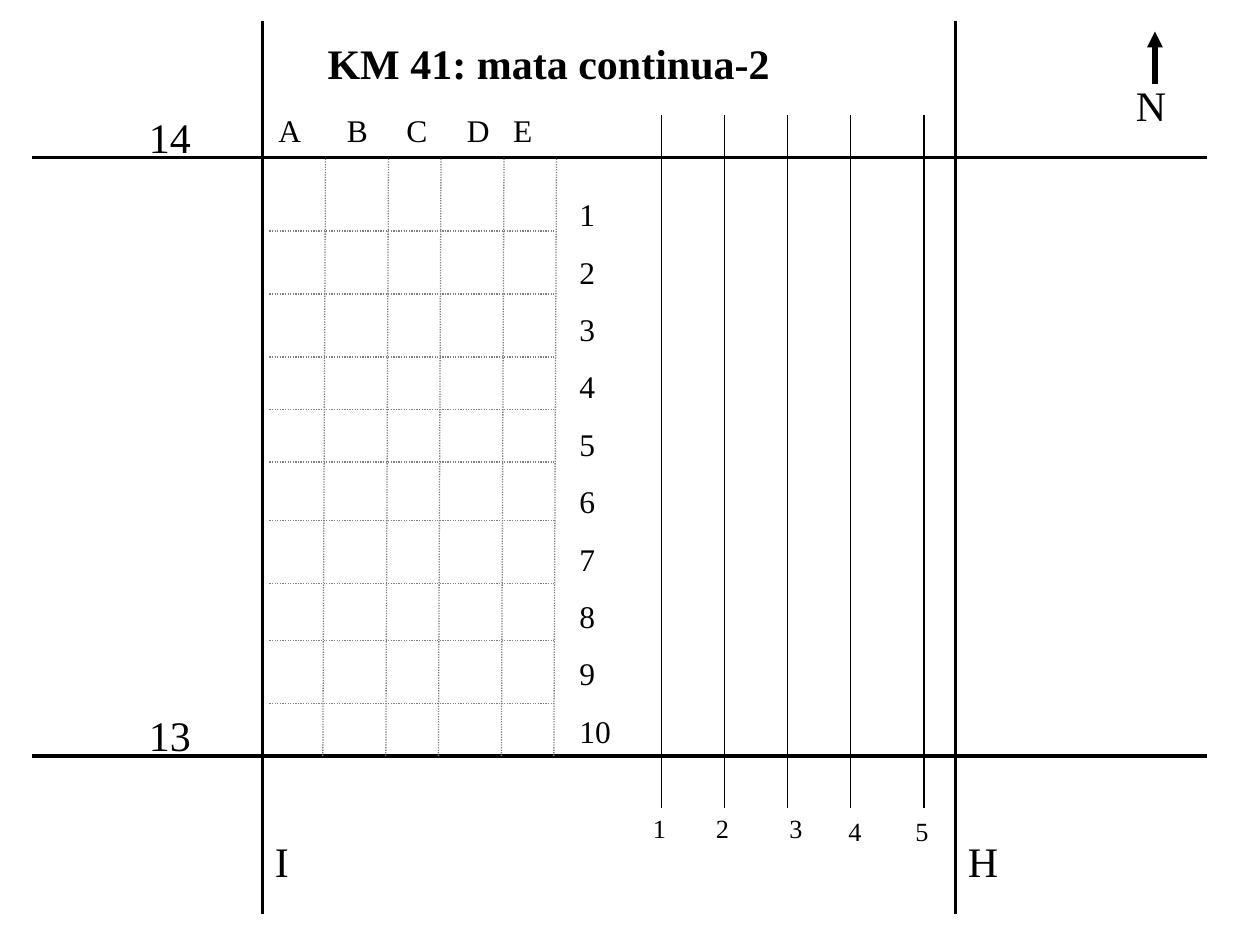
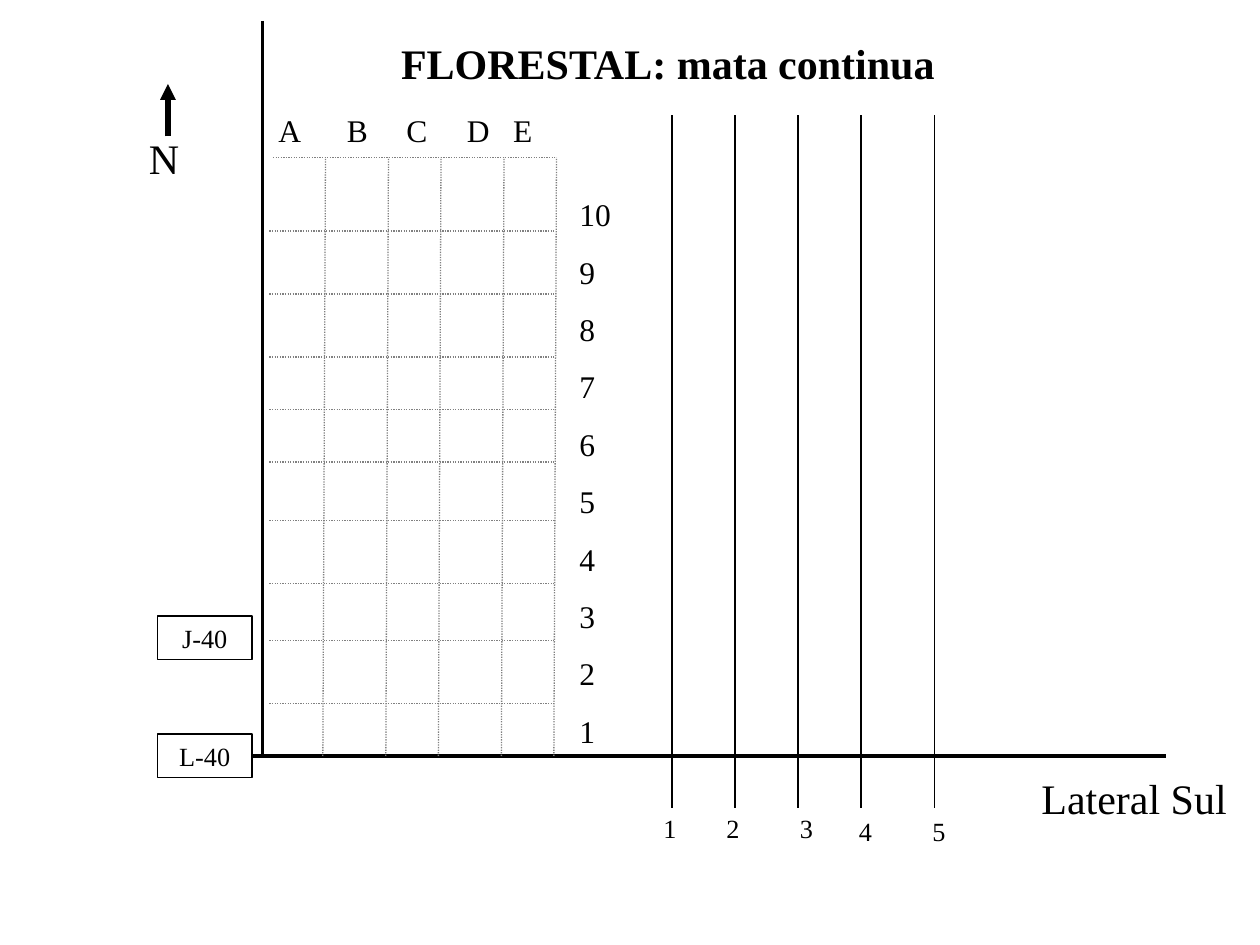
"""Builds two field maps of continuous-forest plots."""
from lxml import etree
from pptx import Presentation
from pptx.dml.color import RGBColor
from pptx.enum.dml import MSO_LINE
from pptx.enum.shapes import MSO_CONNECTOR, MSO_SHAPE
from pptx.enum.text import MSO_ANCHOR, PP_ALIGN
from pptx.oxml.ns import qn
from pptx.util import Pt

BLACK = RGBColor(0, 0, 0)
GRAY = RGBColor(0x80, 0x80, 0x80)
FONT = "Times New Roman"
STRAIGHT = MSO_CONNECTOR.STRAIGHT
RECTANGLE = MSO_SHAPE.RECTANGLE
DOTTED = MSO_LINE.ROUND_DOT
TOP, MIDDLE = MSO_ANCHOR.TOP, MSO_ANCHOR.MIDDLE
LEFT, CENTER = PP_ALIGN.LEFT, PP_ALIGN.CENTER
TITLE_ONLY = 5
RIGHT_SIDE = 3

LARGE, MEDIUM, SMALL = 24, 18, 15
ROAD_WIDTH, ARROW_WIDTH, THIN = 2.25, 3, 0.75

PLOT_BOX = (150, 90, 168, 342)
COLUMN_OFFSETS = (36, 72, 102, 138, 168)
ROW_OFFSETS = (42, 78, 114, 144, 174, 207.5, 243.5, 276, 312)
LETTER_TABS = (39.2, 73.2, 107.7, 134.2)
GRID_LEAN = 1.5
ROW_GAP = 11.2

TRANSECT_TOP, TRANSECT_LENGTH = 66, 396
TRANSECT_OFFSETS = (0, 36, 72, 108, 150)
LABEL_OFFSETS = (-12, 24, 66, 99.75)
LABEL_SHIFTS = (-1.5, -1.5, -1.5, 0.5, 0.5)


def format_text(frame, size, bold=False, align=LEFT, anchor=TOP):
    """Apply the shared font, insets and alignment to a text frame."""
    frame.word_wrap = True
    frame.vertical_anchor = anchor
    frame.margin_left = frame.margin_right = Pt(7.2)
    frame.margin_top = frame.margin_bottom = Pt(3.6)
    for paragraph in frame.paragraphs:
        paragraph.alignment = align
        for run in paragraph.runs:
            run.font.name = FONT
            run.font.size = Pt(size)
            run.font.bold = bold
            run.font.color.rgb = BLACK


def add_label(slide, text, box, size=LARGE):
    """Add a plain text label and return its text frame."""
    frame = slide.shapes.add_textbox(*map(Pt, box)).text_frame
    frame.text = text
    format_text(frame, size)
    return frame


def add_line(slide, start, end, width=THIN, color=BLACK, dash=None, arrow=False):
    """Draw a straight line without shadow and return it."""
    connector = slide.shapes.add_connector(STRAIGHT, *map(Pt, start + end))
    connector.line.width = Pt(width)
    connector.line.color.rgb = color
    if dash is not None:
        connector.line.dash_style = dash
    properties = connector._element.spPr
    if arrow:
        outline = properties.find(qn("a:ln"))
        etree.SubElement(outline, qn("a:tailEnd"), type="triangle")
    etree.SubElement(properties, qn("a:effectLst"))
    return connector


def add_title(slide, text, left, width):
    """Fill and place the title placeholder."""
    title = slide.shapes.title
    title.left, title.top, title.width, title.height = map(Pt, (left, 18, width, 36))
    title.text_frame.text = text
    format_text(title.text_frame, LARGE, bold=True)


def add_north(slide, left, top):
    """Draw the north arrow above its letter."""
    add_line(slide, (left + 18, top + 30), (left + 18, top), ARROW_WIDTH, arrow=True)
    add_label(slide, "N", (left, top + 24, 42, 36))


def add_plot_grid(slide, box, row_numbers):
    """Draw the dotted plot grid with its letters and row numbers."""
    left, top, width, height = box
    for offset in COLUMN_OFFSETS:
        x = left + offset
        add_line(slide, (x - GRID_LEAN, top + height), (x, top), color=GRAY, dash=DOTTED)
    for offset in ROW_OFFSETS:
        y = top + offset
        add_line(slide, (left + 4, y), (left + width - GRID_LEAN, y), color=GRAY, dash=DOTTED)

    letters = add_label(slide, "\t".join("ABCDE"), (left + 2, top - 30, 387, 29), MEDIUM)
    tab_list = etree.SubElement(letters.paragraphs[0]._p.get_or_add_pPr(), qn("a:tabLst"))
    for tab in LETTER_TABS:
        etree.SubElement(tab_list, qn("a:tab"), pos=str(Pt(tab)), algn="l")

    numbers = add_label(slide, "\n".join(map(str, row_numbers)),
                        (left + 174, top + 18, 42, 358), MEDIUM)
    for paragraph in numbers.paragraphs[1:]:
        paragraph.space_before = Pt(ROW_GAP)


def add_transects(slide, left, last_label_offset):
    """Draw the five numbered transects."""
    bottom = TRANSECT_TOP + TRANSECT_LENGTH
    for offset in TRANSECT_OFFSETS:
        add_line(slide, (left + offset, TRANSECT_TOP), (left + offset, bottom))
    label_offsets = LABEL_OFFSETS + (last_label_offset,)
    for number, (offset, shift) in enumerate(zip(label_offsets, LABEL_SHIFTS), 1):
        add_label(slide, str(number), (left + offset, bottom + shift, 54, 25), SMALL)


def add_marker(slide, text, left, top):
    """Add an outlined trail marker."""
    marker = slide.shapes.add_shape(RECTANGLE, Pt(left), Pt(top), Pt(54), Pt(25))
    marker.shadow.inherit = False
    marker.fill.background()
    marker.line.color.rgb = BLACK
    marker.line.width = Pt(THIN)
    marker.text_frame.text = text
    format_text(marker.text_frame, SMALL, align=CENTER, anchor=MIDDLE)
    return marker


def build_km41(slide):
    """Build the KM 41 map between trails 13, 14, I and H."""
    left, top, _, height = PLOT_BOX
    for name, y in (("14", top), ("13", top + height)):
        add_line(slide, (18, y), (690, y), ROAD_WIDTH)
        add_label(slide, name, (78, y - 30, 54, 36))
    for name, x in (("I", left), ("H", left + 396)):
        add_line(slide, (x, 12), (x, 522), ROAD_WIDTH)
        add_label(slide, name, (x, 474, 54, 36))
    add_title(slide, "KM 41: mata continua-2", 180, 318)
    add_north(slide, 642, 18)
    add_plot_grid(slide, PLOT_BOX, range(1, 11))
    add_transects(slide, 378, 138)


def build_florestal(slide):
    """Build the Florestal map with its southern edge."""
    left, top, width, height = PLOT_BOX
    bottom = top + height
    add_marker(slide, "J-40", 90, 352)
    corner = add_marker(slide, "L-40", 90, bottom - 12.5)
    southern_edge = add_line(slide, (144, bottom), (666, bottom), ROAD_WIDTH)
    southern_edge.begin_connect(corner, RIGHT_SIDE)
    add_line(slide, (left, 12), (left, bottom), ROAD_WIDTH)
    add_label(slide, "Lateral Sul", (588, bottom + 6, 132, 36))
    add_title(slide, "FLORESTAL: mata continua", 222, 372)
    add_north(slide, 78, 48)
    add_plot_grid(slide, PLOT_BOX, range(10, 0, -1))
    add_line(slide, (left + 6, top), (left + width, top), color=GRAY, dash=DOTTED)
    add_transects(slide, 384, 141.75)


def main():
    """Create and save the presentation."""
    presentation = Presentation()
    presentation.slide_width, presentation.slide_height = Pt(720), Pt(540)
    for build in (build_km41, build_florestal):
        build(presentation.slides.add_slide(presentation.slide_layouts[TITLE_ONLY]))
    presentation.save("out.pptx")


if __name__ == "__main__":
    main()
